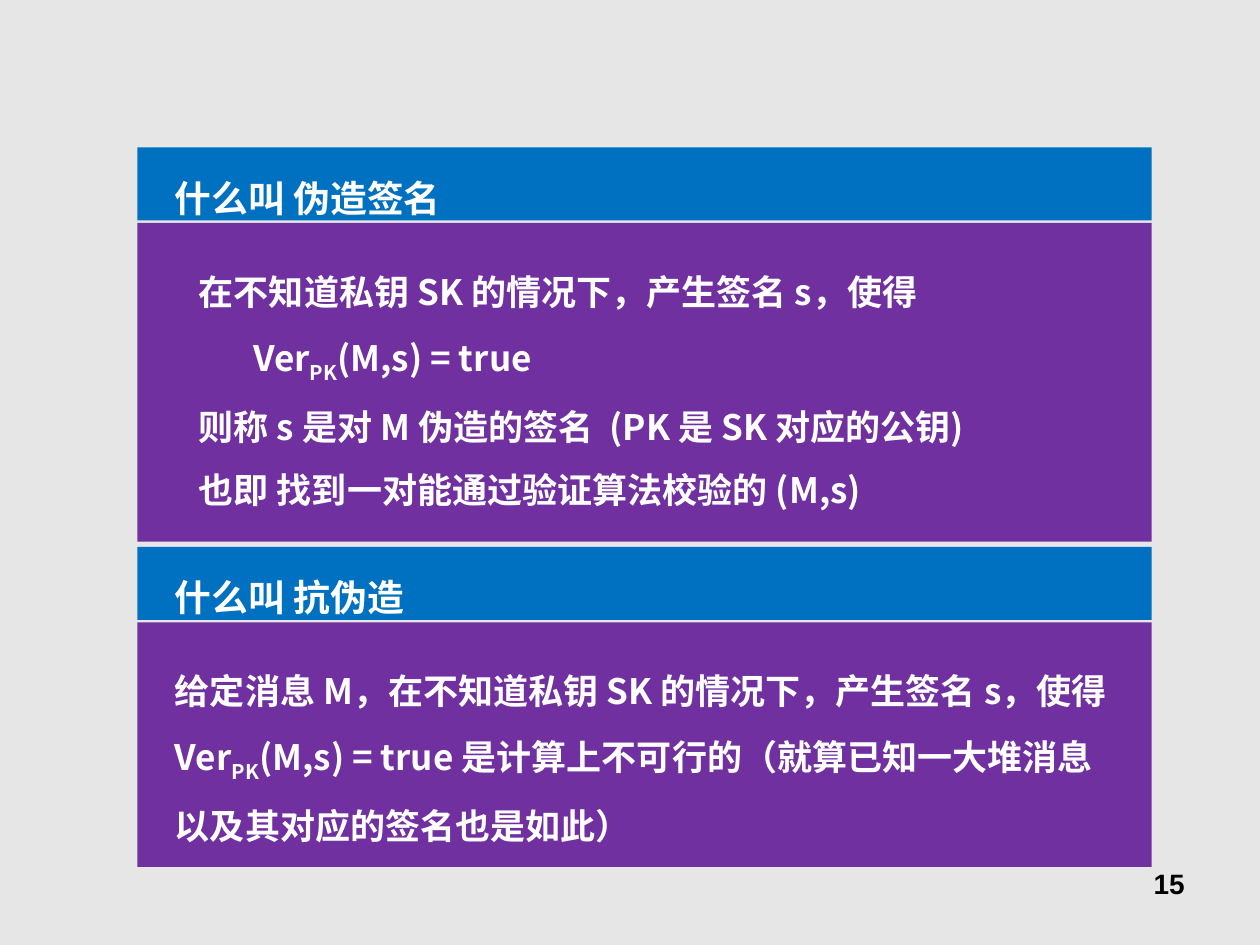
from dataclasses import dataclass

from lxml import etree
from pptx import Presentation
from pptx.dml.color import RGBColor
from pptx.enum.shapes import MSO_SHAPE
from pptx.enum.text import MSO_ANCHOR, PP_ALIGN
from pptx.oxml.ns import qn
from pptx.util import Inches, Pt

RECTANGLE = MSO_SHAPE.RECTANGLE
TOP = MSO_ANCHOR.TOP
LEFT, RIGHT = PP_ALIGN.LEFT, PP_ALIGN.RIGHT

WIDTH, HEIGHT = Inches(10), Inches(7.5)
BACKGROUND, BLUE, PURPLE = "E7E6E6", "0070C0", "7030A0"
WHITE, BLACK = "FFFFFF", "000000"
CHINESE_FONT, NUMBER_FONT = "Noto Sans CJK SC", "Arial"
PANEL_LEFT, PANEL_WIDTH, BAND_HEIGHT = 10.9, 80.5, 7.73
HEADING_LEFT, HEADING_WIDTH, HEADING_HEIGHT = 12.9, 47.5, 8.4
BODY_OFFSET, TEXT_OFFSET = 8, 2.13


@dataclass(frozen=True)
class Area:
    """Rectangle in percent of the slide's width and height."""
    left: float
    top: float
    width: float
    height: float

    def lengths(self) -> tuple[int, ...]:
        """Return left, top, width and height as slide lengths."""
        return (int(WIDTH * self.left / 100), int(HEIGHT * self.top / 100),
                int(WIDTH * self.width / 100), int(HEIGHT * self.height / 100))


@dataclass(frozen=True)
class Span:
    """Piece of text, possibly lowered."""
    text: str
    lowered: bool = False


@dataclass(frozen=True)
class Line:
    """Paragraph with its left indent in inches."""
    spans: tuple[Span, ...]
    indent: float = 0


@dataclass(frozen=True)
class Style:
    """Look of the text in a box."""
    size: float
    font: str = CHINESE_FONT
    color: str = WHITE
    spacing: float = 1.5
    align: PP_ALIGN = LEFT


@dataclass(frozen=True)
class Panel:
    """Heading band with a body below it."""
    top: float
    heading: str
    body_height: float
    text_left: float
    text_width: float
    text_height: float
    lines: tuple[Line, ...]


HEADING_STYLE, BODY_STYLE = Style(21), Style(20)
NUMBER_STYLE = Style(16, NUMBER_FONT, BLACK, 1, RIGHT)
KEY = Span("PK", lowered=True)
PANELS = (
    Panel(15.6, "什么叫 伪造签名", 33.73, 14.8, 75.1, 28.93, (
        Line((Span("在不知道私钥 SK 的情况下，产生签名 s，使得"),)),
        Line((Span("Ver"), KEY, Span("(M,s) = true")), indent=0.43),
        Line((Span("则称 s 是对 M 伪造的签名  (PK 是 SK 对应的公钥)"),)),
        Line((Span("也即 找到一对能通过验证算法校验的 (M,s)"),)),
    )),
    Panel(57.87, "什么叫 抗伪造", 25.87, 12.9, 76.9, 22.27, (
        Line((Span("给定消息 M，在不知道私钥 SK 的情况下，产生签名 s，使得 Ver"), KEY,
              Span("(M,s) = true 是计算上不可行的（就算已知一大堆消息以及其对应的签名也是如此）"))),
    )),
)


def rgb(color: str) -> RGBColor:
    """Turn a hex string into a colour."""
    return RGBColor.from_string(color)


def add_block(shapes, area: Area, color: str) -> None:
    """Draw a plain filled rectangle."""
    block = shapes.add_shape(RECTANGLE, *area.lengths())
    block.shadow.inherit = False
    block.fill.solid()
    block.fill.fore_color.rgb = rgb(color)
    block.line.fill.background()


def add_span(para, span: Span, style: Style) -> None:
    """Add one run with its font and baseline."""
    run = para.add_run()
    run.text = span.text
    run.font.size = Pt(style.size)
    run.font.bold = True
    run.font.color.rgb = rgb(style.color)
    run.font.name = style.font
    properties = run.font._element
    etree.SubElement(properties, qn("a:ea")).set("typeface", style.font)
    if span.lowered:
        properties.set("baseline", "-25000")


def add_text(shapes, area: Area, lines: tuple[Line, ...], style: Style) -> None:
    """Add a wrapped text box holding the given lines."""
    box = shapes.add_textbox(*area.lengths())
    frame = box.text_frame
    frame.word_wrap = True
    frame.vertical_anchor = TOP
    for index, line in enumerate(lines):
        para = frame.add_paragraph() if index else frame.paragraphs[0]
        para.alignment = style.align
        para.line_spacing = style.spacing
        if line.indent:
            properties = para._p.get_or_add_pPr()
            properties.set("marL", str(Inches(line.indent)))
            properties.set("indent", "0")
        for span in line.spans:
            add_span(para, span, style)


def add_panel(slide, panel: Panel) -> None:
    """Draw one panel as a group."""
    shapes = slide.shapes.add_group_shape().shapes
    body_top = panel.top + BODY_OFFSET
    add_block(shapes, Area(PANEL_LEFT, body_top, PANEL_WIDTH, panel.body_height), PURPLE)
    add_text(shapes, Area(panel.text_left, body_top + TEXT_OFFSET, panel.text_width,
                          panel.text_height), panel.lines, BODY_STYLE)
    add_block(shapes, Area(PANEL_LEFT, panel.top, PANEL_WIDTH, BAND_HEIGHT), BLUE)
    add_text(shapes, Area(HEADING_LEFT, panel.top, HEADING_WIDTH, HEADING_HEIGHT),
             (Line((Span(panel.heading),)),), HEADING_STYLE)


def main() -> None:
    """Build the slide and save it."""
    deck = Presentation()
    deck.slide_width, deck.slide_height = WIDTH, HEIGHT
    slide = deck.slides.add_slide(deck.slide_layouts[6])
    slide.background.fill.solid()
    slide.background.fill.fore_color.rgb = rgb(BACKGROUND)
    add_text(slide.shapes, Area(71.7, 91.07, 23.3, 6.93), (Line((Span("15"),)),), NUMBER_STYLE)
    for panel in PANELS:
        add_panel(slide, panel)
    deck.save("out.pptx")


if __name__ == "__main__":
    main()
